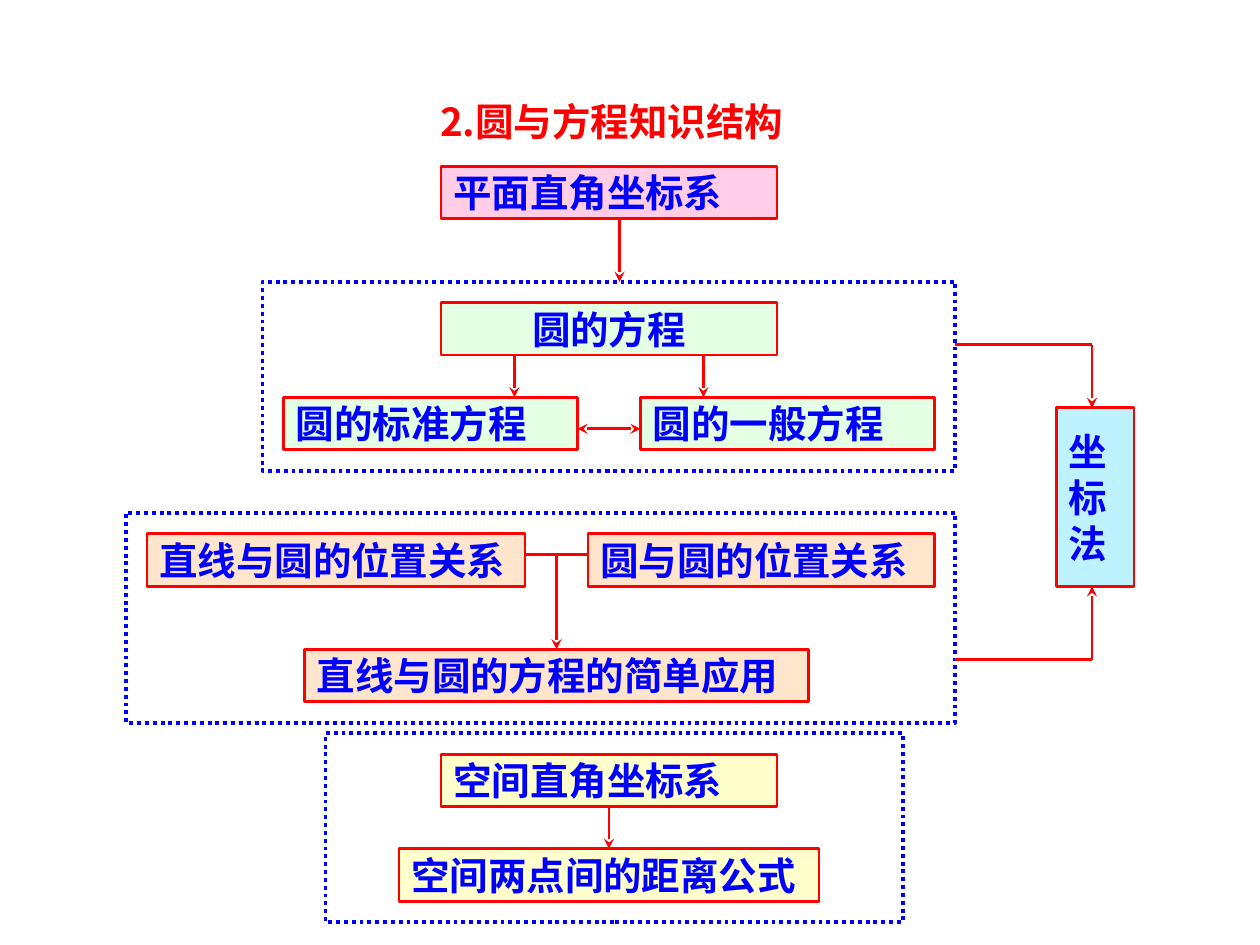
from pptx import Presentation
from pptx.dml.color import RGBColor
from pptx.enum.dml import MSO_LINE
from pptx.enum.shapes import MSO_CONNECTOR, MSO_SHAPE
from pptx.enum.text import MSO_ANCHOR, PP_ALIGN
from pptx.oxml.ns import qn
from pptx.util import Inches, Pt
from lxml import etree

RECTANGLE = MSO_SHAPE.RECTANGLE
STRAIGHT = MSO_CONNECTOR.STRAIGHT
LEFT, CENTER = PP_ALIGN.LEFT, PP_ALIGN.CENTER
MIDDLE = MSO_ANCHOR.MIDDLE
ROUND_DOT = MSO_LINE.ROUND_DOT

THEME = {
    "red": RGBColor(0xFF, 0x00, 0x00),
    "blue": RGBColor(0x00, 0x00, 0xFF),
    # Fill colour and opacity in percent
    "pink": (RGBColor(0xFF, 0x99, 0xCC), 49),
    "green": (RGBColor(0xCC, 0xFF, 0xCC), 50),
    "orange": (RGBColor(0xFF, 0xCC, 0x99), 50),
    "yellow": (RGBColor(0xFF, 0xFF, 0x99), 50),
    "cyan": (RGBColor(0x00, 0xCC, 0xFF), 25),
    "text_size": Pt(22),
    "box_font": "Arial",
    "title_font": "Noto Sans CJK SC",
    "thin": Pt(1.5),
    "thick": Pt(2.25),
}

presentation = Presentation()
presentation.slide_width = Inches(10)
presentation.slide_height = Inches(7.5)
slide = presentation.slides.add_slide(presentation.slide_layouts[6])

# Grid: 120 columns across the slide; square rows start at the first box
UNIT = presentation.slide_width / 120
TOP = Inches(1.32)
BOX_ROWS = 5


def place(column, row):
    return round(column * UNIT), round(TOP + row * UNIT)


def write(shape, text, *, font, color, align=LEFT, anchor=None):
    frame = shape.text_frame
    frame.word_wrap = True
    if anchor is not None:
        frame.vertical_anchor = anchor
    frame.text = text
    for paragraph in frame.paragraphs:
        paragraph.alignment = align
        for run in paragraph.runs:
            run.font.name = font
            run.font.size = THEME["text_size"]
            run.font.bold = True
            run.font.color.rgb = color
            east_asian = etree.SubElement(run.font._element, qn("a:ea"))
            east_asian.set("typeface", font)


# Boxes: text, column, row, columns wide, rows high, fill, alignment
boxes = [
    ("平面直角坐标系", 42, 0, 32, BOX_ROWS, "pink", LEFT),
    ("圆的方程", 42, 13, 32, BOX_ROWS, "green", CENTER),
    ("圆的标准方程", 27, 22, 28, BOX_ROWS, "green", LEFT),
    ("圆的一般方程", 61, 22, 28, BOX_ROWS, "green", LEFT),
    ("直线与圆的位置关系", 14, 35, 36, BOX_ROWS, "orange", LEFT),
    ("圆与圆的位置关系", 56, 35, 33, BOX_ROWS, "orange", LEFT),
    ("直线与圆的方程的简单应用", 29, 46, 48, BOX_ROWS, "orange", LEFT),
    ("空间直角坐标系", 42, 56, 32, BOX_ROWS, "yellow", LEFT),
    ("空间两点间的距离公式", 38, 65, 40, BOX_ROWS, "yellow", LEFT),
    ("坐\n标\n法", 100.6, 23, 7.4, 17, "cyan", LEFT),
]
for text, column, row, columns, rows, fill, align in boxes:
    box = slide.shapes.add_shape(
        RECTANGLE, *place(column, row), round(columns * UNIT), round(rows * UNIT))
    box.shadow.inherit = False
    color, opacity = THEME[fill]
    box.fill.solid()
    box.fill.fore_color.rgb = color
    color_element = box._element.spPr.find(qn("a:solidFill"))[0]
    etree.SubElement(color_element, qn("a:alpha")).set("val", str(opacity * 1000))
    box.line.color.rgb = THEME["red"]
    box.line.width = THEME["thin"]
    write(box, text, font=THEME["box_font"], color=THEME["blue"],
          align=align, anchor=MIDDLE)

# Dotted frames around the groups: column, row, columns wide, rows high
for column, row, columns, rows in [(25, 11, 66, 18), (12, 33, 79, 20), (31, 54, 55, 18)]:
    frame = slide.shapes.add_shape(
        RECTANGLE, *place(column, row), round(columns * UNIT), round(rows * UNIT))
    frame.shadow.inherit = False
    frame.fill.background()
    frame.line.color.rgb = THEME["blue"]
    frame.line.width = THEME["thick"]
    frame.line.dash_style = ROUND_DOT

# Connectors: start, end, arrowheads
connectors = [
    ((59, 5), (59, 11), ["tailEnd"]),
    ((49, 18), (49, 22), ["tailEnd"]),
    ((67, 18), (67, 22), ["tailEnd"]),
    ((55, 25), (61, 25), ["headEnd", "tailEnd"]),
    ((50, 37), (56, 37), []),
    ((53, 37), (53, 46), ["tailEnd"]),
    ((58, 61), (58, 65), ["tailEnd"]),
    ((91, 17), (104, 17), []),
    ((104, 17), (104, 23), ["tailEnd"]),
    ((91, 47), (104, 47), []),
    ((104, 47), (104, 40), ["tailEnd"]),
]
for start, end, arrowheads in connectors:
    connector = slide.shapes.add_connector(STRAIGHT, *place(*start), *place(*end))
    connector.line.color.rgb = THEME["red"]
    connector.line.width = THEME["thin"]
    line_element = connector.line._get_or_add_ln()
    for arrowhead in arrowheads:
        etree.SubElement(line_element, qn(f"a:{arrowhead}")).set("type", "stealth")
    etree.SubElement(connector._element.spPr, qn("a:effectLst"))

# Title
title = slide.shapes.add_textbox(
    *place(39.6, -7.1), round(37.3 * UNIT), round(5.6 * UNIT))
write(title, "2.圆与方程知识结构", font=THEME["title_font"], color=THEME["red"], align=CENTER)

presentation.save("out.pptx")
